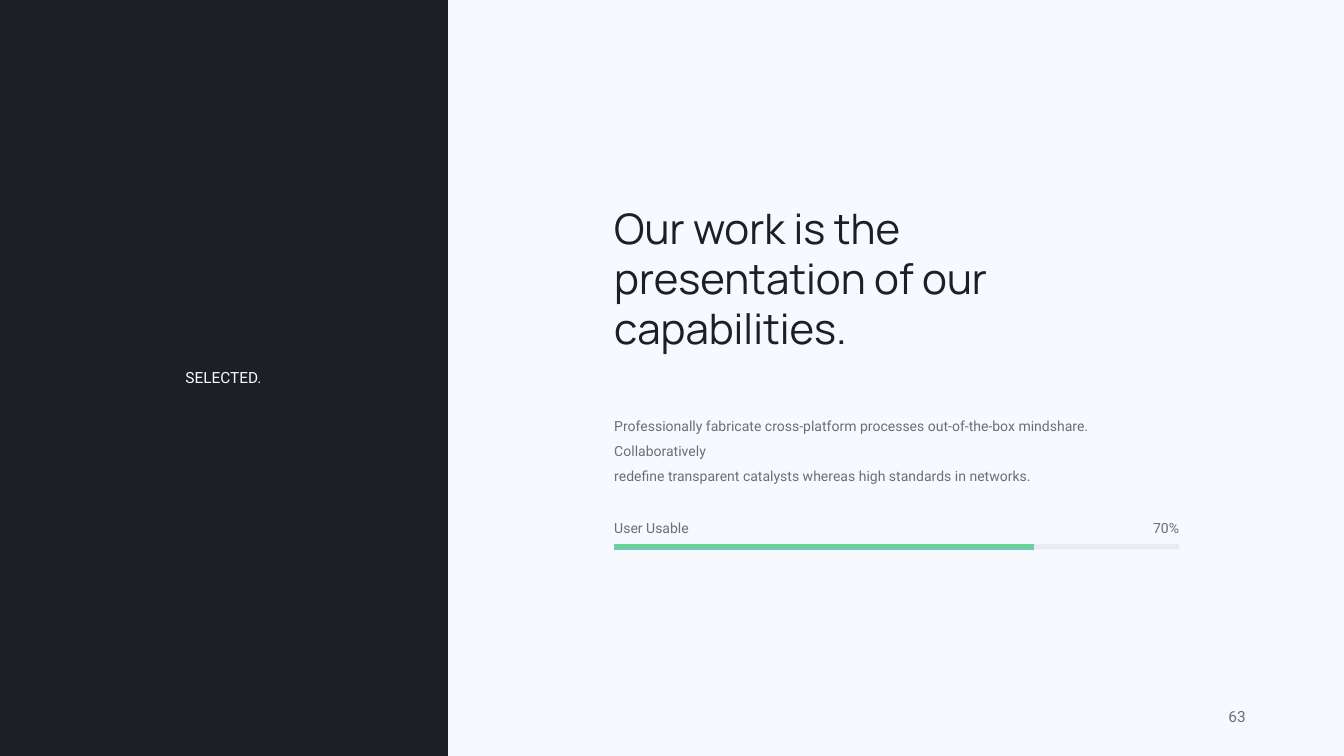
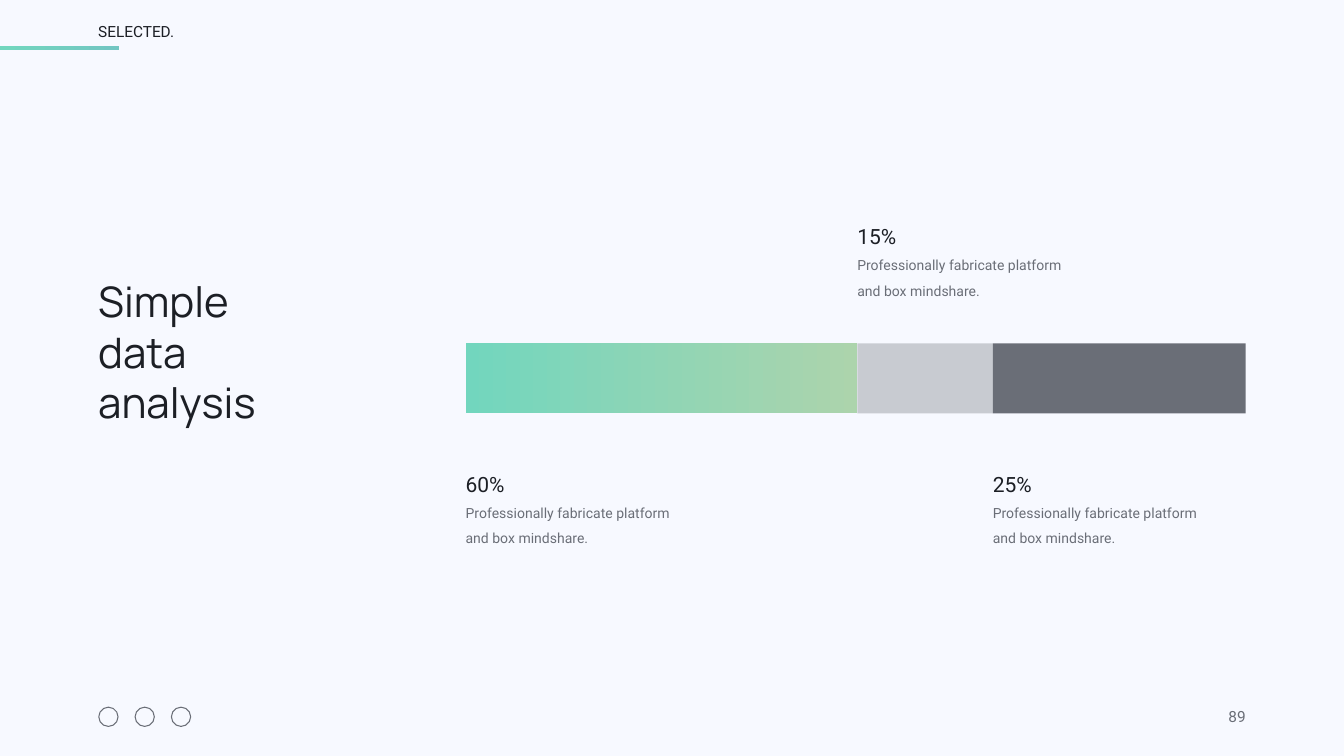
from lxml import etree
from pptx import Presentation
from pptx.dml.color import RGBColor
from pptx.enum import shapes, text
from pptx.oxml.ns import qn
from pptx.util import Cm, Pt

INK, GREY, SILVER, PAPER = "1C1F25", "6A6E77", "C8CBD1", "F7F9FF"
MINT, TEAL, GREEN, SAGE = "72D6BE", "72C6C2", "65D589", "ACD4AC"
BODY, HEAD = "Roboto", "Manrope"
MARGIN = 4.95
rgb = RGBColor.from_string


def add_text(s, x, y, w, h, lines, font=BODY, wrap=False, right=False,
             bottom=False, spacing=None):
    """Add a text box in cm; each line is (text, size, colour)."""
    tf = s.shapes.add_textbox(Cm(x), Cm(y), Cm(w), Cm(h)).text_frame
    tf.margin_left = tf.margin_right = tf.margin_top = tf.margin_bottom = 0
    tf.word_wrap = wrap
    tf.vertical_anchor = text.MSO_ANCHOR.BOTTOM if bottom else text.MSO_ANCHOR.TOP
    tf.text = "\n".join(line[0] for line in lines)
    for p, (_, size, colour) in zip(tf.paragraphs, lines):
        p.alignment = text.PP_ALIGN.RIGHT if right else text.PP_ALIGN.LEFT
        if spacing:
            p.line_spacing = spacing
        f = p.runs[0].font
        f.name, f.size, f.color.rgb = font, Pt(size), rgb(colour)


def add_rect(s, x, y, w, h, *colours, angle=0):
    """Add a borderless rectangle in cm; two colours make a gradient."""
    sp = s.shapes.add_shape(shapes.MSO_SHAPE.RECTANGLE, Cm(x), Cm(y), Cm(w), Cm(h))
    sp.shadow.inherit = False
    sp.line.fill.background()
    if len(colours) == 1:
        sp.fill.solid()
        sp.fill.fore_color.rgb = rgb(colours[0])
    else:
        sp.fill.gradient()
        sp.fill.gradient_angle = angle
        for stop, colour in zip(sp.fill.gradient_stops, colours):
            stop.color.rgb = rgb(colour)
    return sp


prs = Presentation()
prs.slide_width, prs.slide_height = Cm(67.74), Cm(38.1)

# Shared background and page number
slides = []
for number in ("63", "89"):
    s = prs.slides.add_slide(prs.slide_layouts[6])
    s.background.fill.solid()
    s.background.fill.fore_color.rgb = rgb(PAPER)
    add_text(s, 60.8, 35.64, 1.99, 0.76, [(number, 22, GREY)], right=True)
    slides.append(s)
work, analysis = slides

# Slide 1: statement with a progress bar
left, width = 30.96, 28.47
add_rect(work, 0, 0, 22.58, 38.1, INK)
add_text(work, 9.35, 18.54, 3.89, 1.02, [("SELECTED.", 22, PAPER)])
add_text(work, left, 10.39, 18.87, 7.42,
         [(line, 60, INK) for line in
          ("Our work is the", "presentation of our", "capabilities.")],
         font=HEAD, wrap=True, bottom=True)
add_text(work, left, 20.62, width, 2.29,
         [("Professionally fabricate cross-platform processes out-of-the-box "
           "mindshare. Collaboratively", 20, GREY),
          ("redefine transparent catalysts whereas high standards in networks.",
           20, GREY)],
         wrap=True, spacing=1.5)
track = add_rect(work, left, 27.41, width, 0.28, SILVER)
srgb = track._element.spPr.find(qn("a:solidFill")).find(qn("a:srgbClr"))
etree.SubElement(srgb, qn("a:alpha")).set("val", "30000")
add_rect(work, left, 27.41, 21.16, 0.28, GREEN, TEAL, angle=270)
add_text(work, left, 25.76, 4.2, 0.91, [("User Usable", 20, GREY)],
         wrap=True, spacing=1.5)
add_text(work, left + width - 1.4, 25.76, 1.4, 0.91, [("70%", 20, GREY)],
         right=True, spacing=1.5)

# Slide 2: segmented bar
add_text(analysis, MARGIN, 1.09, 3.89, 1.02, [("SELECTED.", 22, INK)])
add_rect(analysis, 0, 2.34, 5.99, 0.18, MINT, TEAL)
add_text(analysis, MARGIN, 16.59, 12.42, 4.93,
         [("Simple", 60, INK), ("data analysis", 60, INK)],
         font=HEAD, wrap=True, bottom=True)

segments = [
    ("60%", 19.74, 23.11, (MINT, SAGE)),
    ("15%", 6.83, 10.62, (SILVER,)),
    ("25%", 12.75, 23.11, (GREY,)),
]
x = 23.47
for share, segment_width, label_top, colours in segments:
    add_rect(analysis, x, 17.3, segment_width, 3.53, *colours)
    add_text(analysis, x, label_top, 10.4, 4.37,
             [(share, 30, INK), ("Professionally fabricate platform", 20, GREY),
              ("and box mindshare.", 20, GREY)], wrap=True, spacing=1.5)
    x += segment_width

# Row of plain footer rings
for i in range(3):
    ring = analysis.shapes.add_shape(
        shapes.MSO_SHAPE.OVAL, Cm(MARGIN + 0.03 + 1.83 * i), Cm(35.64),
        Cm(0.97), Cm(0.97))
    ring.shadow.inherit = False
    ring.fill.background()
    ring.line.color.rgb = rgb(GREY)
    ring.line.width = Pt(1.5)

prs.save("out.pptx")
